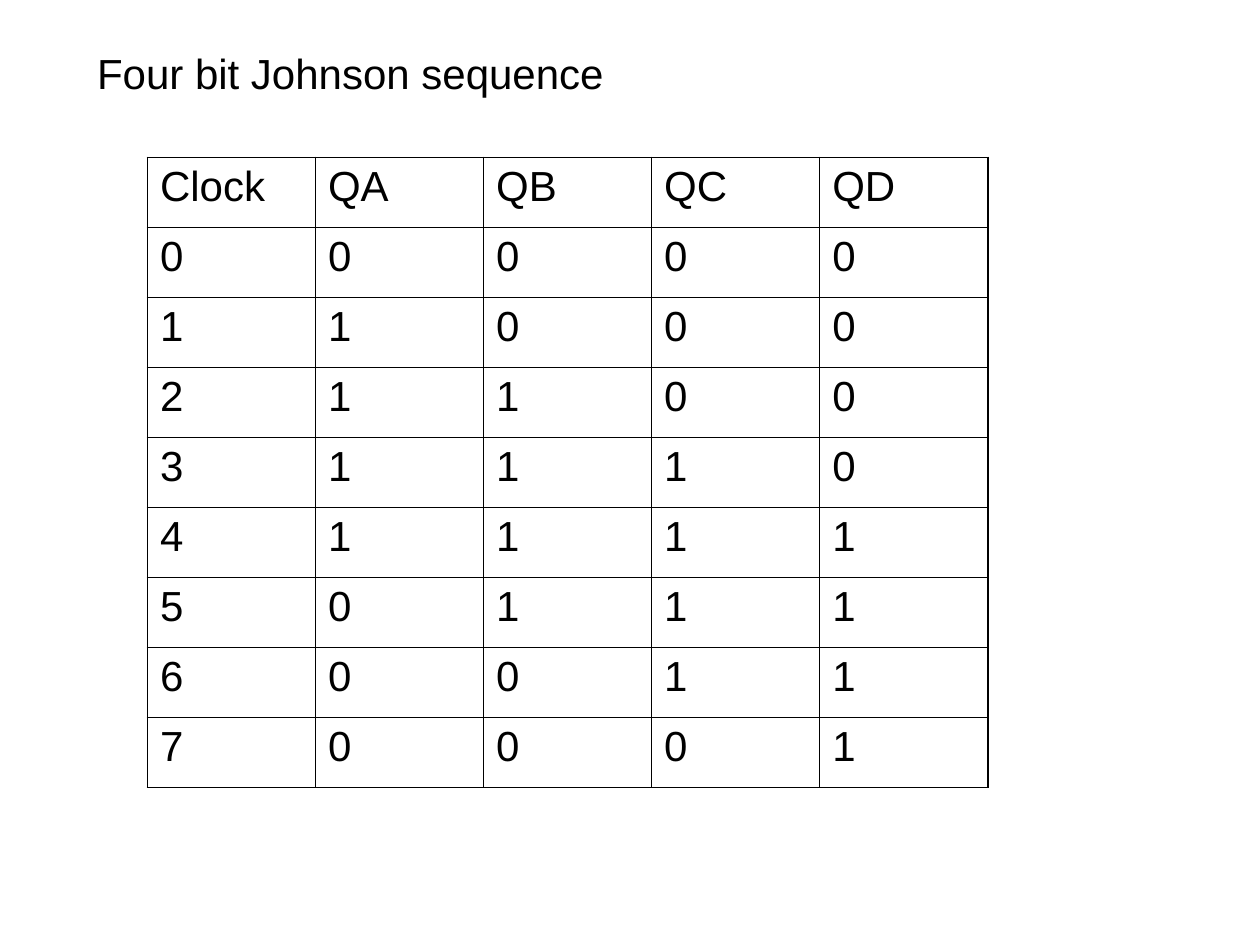
"""Build a slide with the state table of a four bit Johnson counter."""
from lxml import etree
from pptx import Presentation
from pptx import util as u
from pptx.dml.color import RGBColor
from pptx.enum import text
from pptx.oxml.ns import qn

TITLE = "Four bit Johnson sequence"
HEADER = ["Clock", "QA", "QB", "QC", "QD"]
STATES = ["0000", "1000", "1100", "1110", "1111", "0111", "0011", "0001"]
INK = "000000"
SHADOW = "808080"
OUTER_LINE, INNER_LINE = 1.08, 0.45


def set_font(para):
    para.font.name = "Arial"
    para.font.size = u.Pt(24)
    para.font.bold = False
    para.font.color.rgb = RGBColor.from_string(INK)


def add_color(parent, color):
    fill = etree.SubElement(parent, qn("a:solidFill"))
    etree.SubElement(fill, qn("a:srgbClr"), val=color)


def add_text_shadow(span):
    effects = etree.SubElement(span.font._element, qn("a:effectLst"))
    shadow = etree.SubElement(effects, qn("a:outerShdw"), blurRad="0",
                              dist=str(u.Pt(2)), dir="2700000", algn="tl")
    etree.SubElement(shadow, qn("a:srgbClr"), val=SHADOW)


def set_borders(cell, outer_sides):
    properties = cell._tc.get_or_add_tcPr()
    for side in "LRTB":
        width = OUTER_LINE if side in outer_sides else INNER_LINE
        line = etree.SubElement(properties, qn(f"a:ln{side}"), w=str(u.Pt(width)))
        add_color(line, INK)


def add_title(page):
    title = page.shapes.title
    title.left, title.top = u.Inches(0.67), u.Inches(0.33)
    title.width, title.height = u.Inches(5.5), u.Inches(0.9)
    frame = title.text_frame
    frame.vertical_anchor = text.MSO_ANCHOR.TOP
    frame.auto_size = text.MSO_AUTO_SIZE.NONE
    frame.text = TITLE
    para = frame.paragraphs[0]
    para.alignment = text.PP_ALIGN.LEFT
    set_font(para)
    add_text_shadow(para.runs[0])


def add_state_table(page):
    rows = [HEADER] + [[str(clock), *bits] for clock, bits in enumerate(STATES)]
    last_row, last_column = len(rows) - 1, len(HEADER) - 1
    table = page.shapes.add_table(len(rows), len(HEADER), u.Inches(1.17), u.Inches(1.25),
                                  u.Inches(6.67), u.Inches(5)).table
    table.first_row = table.horz_banding = False
    for r, values in enumerate(rows):
        for c, value in enumerate(values):
            cell = table.cell(r, c)
            cell.text = value
            set_font(cell.text_frame.paragraphs[0])
            edges = {"L": c == 0, "R": c == last_column, "T": r == 0, "B": r == last_row}
            set_borders(cell, [side for side, outer in edges.items() if outer])
            cell.fill.background()


def main():
    deck = Presentation()
    deck.slide_width, deck.slide_height = u.Inches(10), u.Inches(7.5)
    page = deck.slides.add_slide(deck.slide_layouts[5])
    add_title(page)
    add_state_table(page)
    deck.save("out.pptx")


if __name__ == "__main__":
    main()
